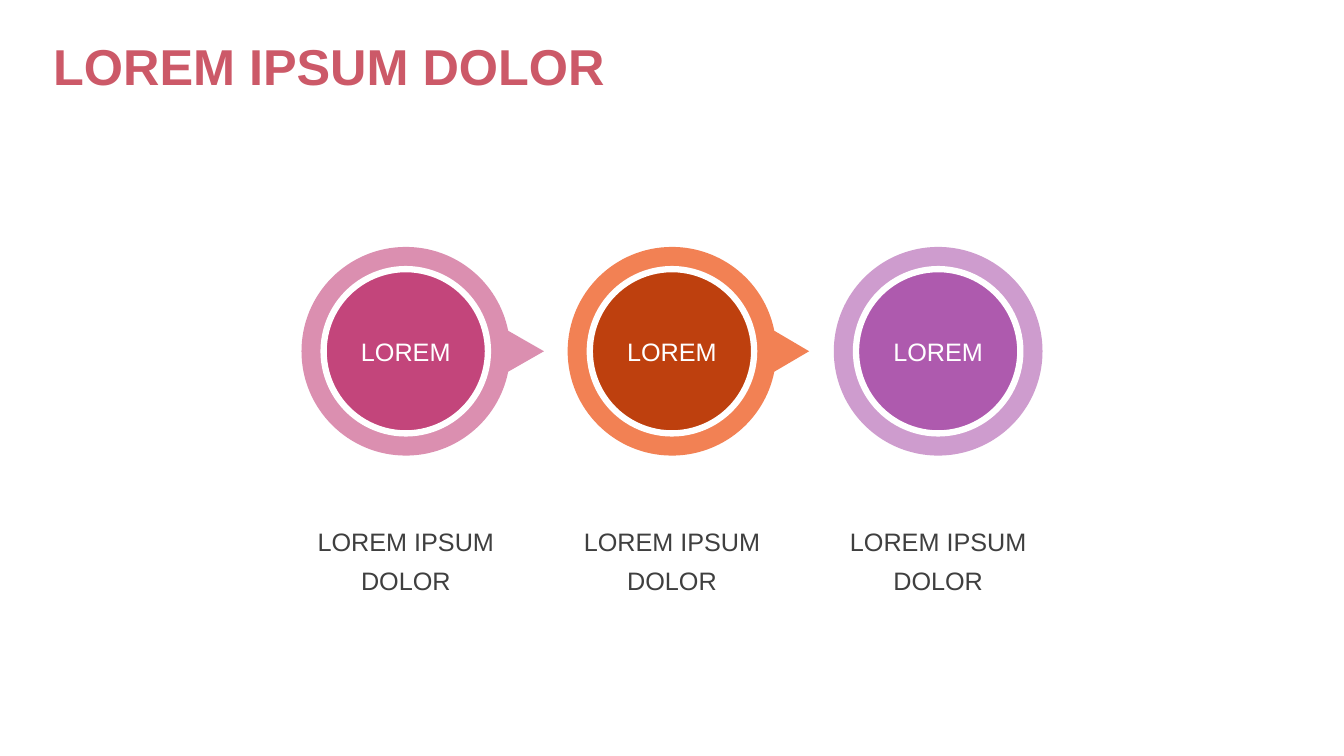
import math

import pptx
import pptx.dml.color
import pptx.enum.shapes
import pptx.enum.text
import pptx.oxml
import pptx.oxml.ns
import pptx.util

Inches = pptx.util.Inches
Color = pptx.dml.color.RGBColor
Shape = pptx.enum.shapes.MSO_SHAPE
Align = pptx.enum.text.PP_ALIGN
Anchor = pptx.enum.text.MSO_ANCHOR

WHITE = Color(0xFF, 0xFF, 0xFF)
DARK = Color(0x3F, 0x3F, 0x3F)
ROSE = Color(0xCC, 0x59, 0x68)
PINK = Color(0xDB, 0x8F, 0xB0)
BERRY = Color(0xC3, 0x45, 0x7B)
CORAL = Color(0xF2, 0x81, 0x54)
RUST = Color(0xBE, 0x40, 0x0E)
LILAC = Color(0xCE, 0x9C, 0xCE)
PURPLE = Color(0xAE, 0x5A, 0xAE)

# Ring colour, disc colour, distance from centre to arrow tip (0: no arrow)
STEPS = [(PINK, BERRY, 1.37), (CORAL, RUST, 1.36), (LILAC, PURPLE, 0)]
SIZE = 2.07
PITCH = 2.64
NOTCH = 11.3


def write(shape, text, color, size, anchor, bold=None, **form):
    frame = shape.text_frame
    frame.word_wrap = True
    frame.vertical_anchor = anchor
    para = frame.paragraphs[0]
    for name, value in form.items():
        setattr(para, name, value)
    run = para.add_run()
    run.text = text
    font = {"name": "Arial", "size": pptx.util.Pt(size), "bold": bold}
    for name, value in font.items():
        setattr(run.font, name, value)
    run.font.color.rgb = color


def paint(shape, color):
    shape.shadow.inherit = False
    shape.fill.solid()
    shape.fill.fore_color.rgb = color
    shape.line.fill.background()


def add_box(slide, left, top, width, height):
    return slide.shapes.add_textbox(
        Inches(left), Inches(top), Inches(width), Inches(height))


def add_disc(slide, left, top, size, color):
    disc = slide.shapes.add_shape(
        Shape.OVAL, Inches(left), Inches(top), Inches(size), Inches(size))
    paint(disc, color)
    return disc


def arc(x, y, radius, first, last):
    """Return two Bezier handles and the end point, angles in degrees."""
    a, b = math.radians(first), math.radians(last)
    pull = 4 / 3 * math.tan((b - a) / 4)
    spots = [(math.cos(a) - pull * math.sin(a),
              math.sin(a) + pull * math.cos(a)),
             (math.cos(b) + pull * math.sin(b),
              math.sin(b) - pull * math.cos(b)),
             (math.cos(b), math.sin(b))]
    return [(Inches(x + radius * u), Inches(y + radius * v))
            for u, v in spots]


def bend(lines):
    """Turn three line segments into one curve through their points."""
    curve = pptx.oxml.parse_xml(
        "<a:cubicBezTo %s/>" % pptx.oxml.ns.nsdecls("a"))
    lines[0].addprevious(curve)
    for line in lines:
        curve.append(line[0])
        line.getparent().remove(line)


def add_drop(slide, left, top, size, tip, color):
    """Draw a round outline with an arrow tip on its right side."""
    radius = size / 2
    x, y = left + radius, top + radius
    down = arc(x, y, radius, NOTCH, 90)
    notch = (down[2][0], Inches(y))
    notch = (Inches(x + radius * math.cos(math.radians(NOTCH))),
             Inches(y + radius * math.sin(math.radians(NOTCH))))
    points = arc(x, y, radius, -90, -NOTCH)
    points += [(Inches(x + tip), Inches(y)), notch]
    points += down
    points += arc(x, y, radius, 90, 180)
    points += arc(x, y, radius, 180, 270)
    form = slide.shapes.build_freeform(Inches(x), Inches(top))
    form.add_line_segments(points, close=True)
    drop = form.convert_to_shape()
    lines = list(drop.element.iter(pptx.oxml.ns.qn("a:lnTo")))
    for start in (0, 5, 8, 11):
        bend(lines[start:start + 3])
    paint(drop, color)


def add_step(slide, left, top, ring, fill, tip):
    if tip:
        add_drop(slide, left, top, SIZE, tip, ring)
    else:
        add_disc(slide, left, top, SIZE, ring)
    disc = add_disc(slide, left + 0.22, top + 0.22, SIZE - 0.44, fill)
    disc.line.color.rgb = WHITE
    disc.line.width = pptx.util.Pt(4.5)
    write(disc, "LOREM", WHITE, 18, Anchor.MIDDLE, alignment=Align.CENTER)


def add_label(slide, left, top, width, height):
    box = add_box(slide, left, top, width, height)
    write(box, "LOREM IPSUM DOLOR", DARK, 18, Anchor.TOP,
          alignment=Align.CENTER, line_spacing=1.3)


def add_title(slide, left, top, width, height):
    box = add_box(slide, left, top, width, height)
    write(box, "LOREM IPSUM DOLOR", ROSE, 36, Anchor.BOTTOM, bold=True,
          line_spacing=0.9)


def main():
    deck = pptx.Presentation()
    deck.slide_width = Inches(13.33)
    deck.slide_height = Inches(7.5)
    slide = deck.slides.add_slide(deck.slide_layouts[6])
    for index in range(len(STEPS)):
        add_label(slide, 2.88 + index * PITCH, 5.08, 2.29, 1.4)
    add_title(slide, 0.43, 0.28, 8.44, 0.73)
    for index, (ring, fill, tip) in enumerate(STEPS):
        add_step(slide, 2.99 + index * PITCH, 2.45, ring, fill, tip)
    deck.save("out.pptx")


if __name__ == "__main__":
    main()
